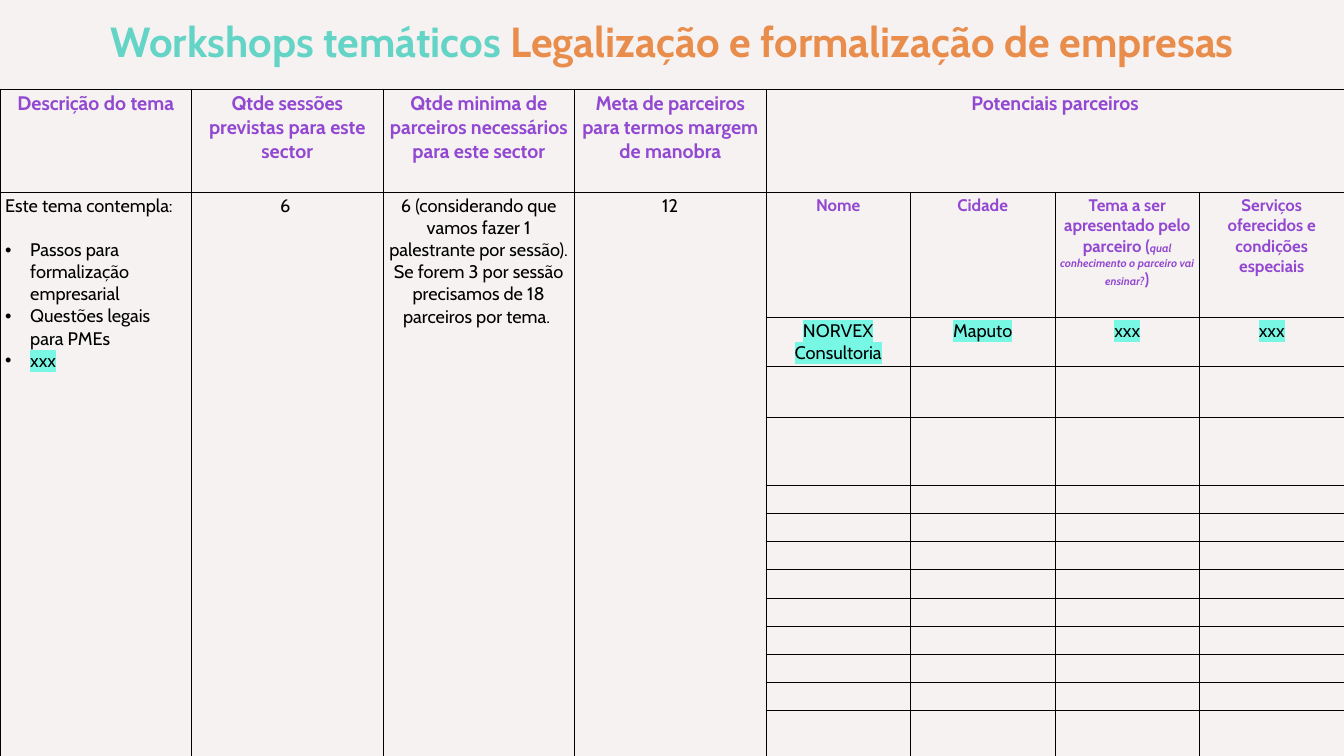
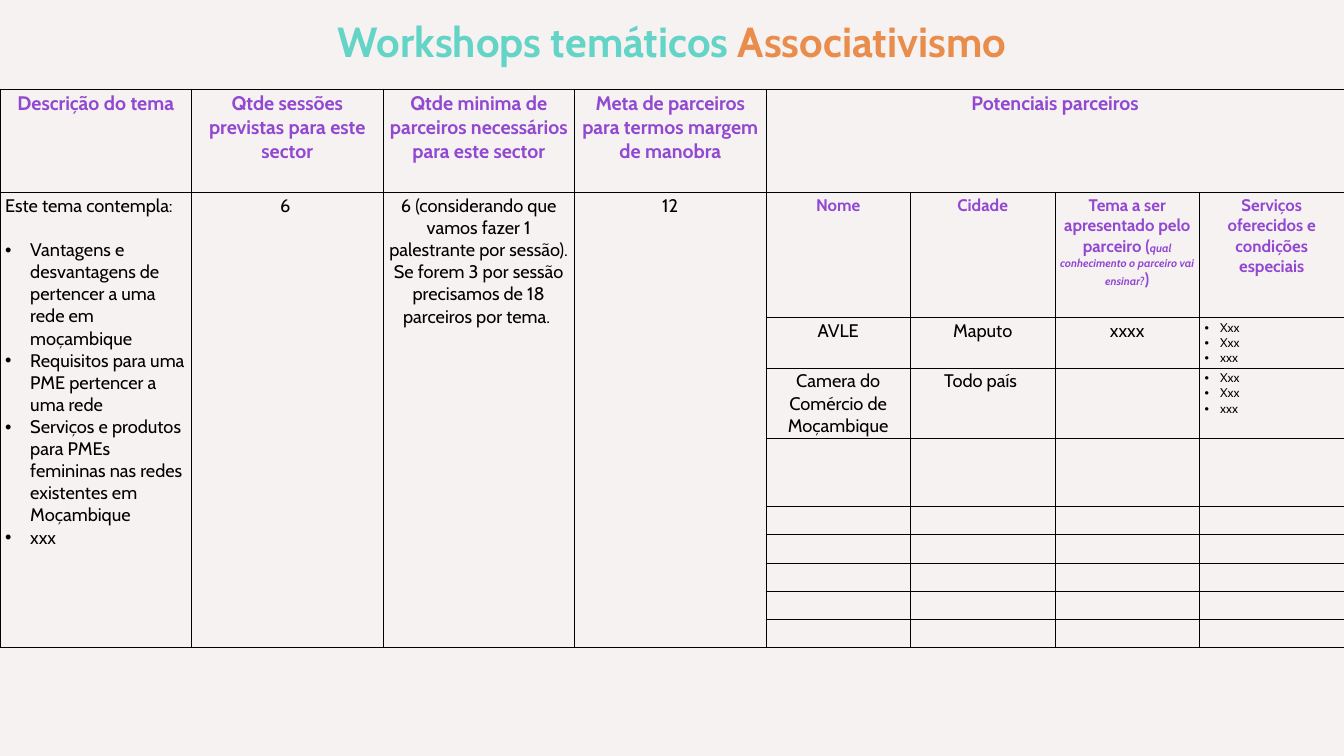
from dataclasses import dataclass

from lxml import etree
from pptx import Presentation
from pptx.dml.color import RGBColor
from pptx.enum.text import MSO_ANCHOR, PP_ALIGN
from pptx.oxml.ns import qn
from pptx.util import Cm, Pt

CENTER, LEFT = PP_ALIGN.CENTER, PP_ALIGN.LEFT
MIDDLE = MSO_ANCHOR.MIDDLE


@dataclass(frozen=True)
class Theme:
    font: str = "Cabin"
    background: str = "F7F2F2"
    series: str = "63D4C6"
    topic: str = "E98D4C"
    heading: str = "9248D1"
    body: str = "000000"
    highlight: str = "79F7E5"
    title_size: int = 60
    heading_size: int = 28
    subheading_size: int = 24
    body_size: int = 26
    hint_size: int = 16
    service_size: int = 18
    border: float = 1


@dataclass(frozen=True)
class Box:
    left: float
    top: float
    width: float
    height: float

    def lengths(self):
        return Cm(self.left), Cm(self.top), Cm(self.width), Cm(self.height)


@dataclass(frozen=True)
class Workshop:
    topic: str
    contents: list
    partners: list
    row_heights: list
    marked: tuple = ()


THEME = Theme()
WIDTH, HEIGHT = 67.73, 38.1
TITLE_BOX = Box(0, 0, WIDTH, 4.11)
TABLE_TOP = 4.5
SUMMARY_COLUMNS, PARTNER_COLUMNS = 4, 4
SUMMARY_WIDTH = 9.65
TOP_ROWS = [5.2, 6.3, 2.44, 2.57, 3.43]
SMALL_ROW = 1.42

SERIES = "Workshops temáticos "
HEADINGS = [
    "Descrição do tema",
    "Qtde sessões previstas para este sector",
    "Qtde minima de parceiros necessários para este sector",
    "Meta de parceiros para termos margem de manobra",
    "Potenciais parceiros",
]
INTRO = "Este tema contempla:"
TARGETS = [
    "6 ",
    "6 (considerando que vamos fazer 1 palestrante por sessão). "
    "Se forem 3 por sessão precisamos de 18 parceiros por tema. ",
    "12",
]
SUBHEADINGS = [
    ["Nome"],
    ["Cidade"],
    ["Tema a ser apresentado pelo parceiro (",
     "qual conhecimento o parceiro vai ensinar?", ")"],
    ["Serviços oferecidos e condições especiais"],
]
SERVICES = ["Xxx", "Xxx", "xxx"]

WORKSHOPS = [
    Workshop(
        "Legalização e formalização de empresas",
        ["Passos para formalização empresarial", "Questões legais para PMEs", "xxx"],
        [["NORVEX Consultoria", "Maputo", "xxx", "xxx"]],
        TOP_ROWS + [SMALL_ROW] * 8 + [2.39],
        ("xxx", "NORVEX Consultoria", "Maputo"),
    ),
    Workshop(
        "Associativismo",
        ["Vantagens e desvantagens de pertencer a uma rede em moçambique",
         "Requisitos para uma PME pertencer a uma rede",
         "Serviços e produtos para PMEs femininas nas redes existentes em Moçambique",
         "xxx"],
        [["AVLE", "Maputo", "xxxx", SERVICES],
         ["Camera do Comércio de Moçambique", "Todo país ", "", SERVICES]],
        TOP_ROWS + [SMALL_ROW] * 5,
    ),
]


def style(paragraph, size, color, bold=False, align=CENTER):
    paragraph.alignment = align
    font = paragraph.font
    font.name, font.size, font.bold = THEME.font, Pt(size), bold
    font.color.rgb = RGBColor.from_string(color)


def add_bullet(paragraph, indent):
    properties = paragraph._p.get_or_add_pPr()
    properties.set("marL", str(Cm(indent)))
    properties.set("indent", str(-Cm(indent)))
    etree.SubElement(properties, qn("a:buFont"), typeface="Arial")
    etree.SubElement(properties, qn("a:buChar"), char="•")


def add_text(paragraph, text, marked=()):
    run = paragraph.add_run()
    run.text = text
    if text in marked:
        highlight = etree.SubElement(run._r.get_or_add_rPr(), qn("a:highlight"))
        etree.SubElement(highlight, qn("a:srgbClr"), val=THEME.highlight)
    return run


def write_list(frame, items, indent, size, marked=(), intro=None):
    paragraph = frame.paragraphs[0]
    if intro:
        add_text(paragraph, intro)
        style(paragraph, size, THEME.body, align=LEFT)
    for position, item in enumerate(items):
        if position or intro:
            paragraph = frame.add_paragraph()
        add_bullet(paragraph, indent)
        if intro and position == 0:
            paragraph.space_before = Pt(size * 1.21)
        add_text(paragraph, item, marked)
        style(paragraph, size, THEME.body, align=LEFT)


def write_cell(cell, text, size, color, bold=False, marked=()):
    paragraph = cell.text_frame.paragraphs[0]
    if text:
        add_text(paragraph, text, marked)
    style(paragraph, size, color, bold)


def outline_cell(cell):
    cell.fill.background()
    properties = cell._tc.get_or_add_tcPr()
    for position, side in enumerate(("a:lnL", "a:lnR", "a:lnT", "a:lnB")):
        line = etree.Element(qn(side), w=str(Pt(THEME.border)))
        fill = etree.SubElement(line, qn("a:solidFill"))
        etree.SubElement(fill, qn("a:srgbClr"), val=THEME.body)
        properties.insert(position, line)


def add_title(slide, box, topic):
    frame = slide.shapes.add_textbox(*box.lengths()).text_frame
    frame.word_wrap = True
    frame.vertical_anchor = MIDDLE
    frame.margin_left = frame.margin_right = Cm(0.15)
    frame.margin_top = frame.margin_bottom = Cm(0.15)
    paragraph = frame.paragraphs[0]
    style(paragraph, THEME.title_size, THEME.series, bold=True)
    for text, color in ((SERIES, THEME.series), (topic, THEME.topic)):
        add_text(paragraph, text).font.color.rgb = RGBColor.from_string(color)


def fill_headings(table):
    for column, heading in enumerate(HEADINGS):
        write_cell(table.cell(0, column), heading,
                   THEME.heading_size, THEME.heading, bold=True)
    for column, parts in enumerate(SUBHEADINGS, SUMMARY_COLUMNS):
        paragraph = table.cell(1, column).text_frame.paragraphs[0]
        style(paragraph, THEME.subheading_size, THEME.heading, bold=True)
        for position, part in enumerate(parts):
            run = add_text(paragraph, part)
            if position == 1:
                run.font.size, run.font.italic = Pt(THEME.hint_size), True


def fill_summary(table, workshop):
    write_list(table.cell(1, 0).text_frame, workshop.contents, 1.27,
               THEME.body_size, workshop.marked, INTRO)
    for column, target in enumerate(TARGETS, 1):
        write_cell(table.cell(1, column), target, THEME.body_size, THEME.body)


def fill_partners(table, workshop):
    blank = [""] * PARTNER_COLUMNS
    blank_count = len(workshop.row_heights) - 2 - len(workshop.partners)
    for row, partner in enumerate(workshop.partners + [blank] * blank_count, 2):
        for column, entry in enumerate(partner, SUMMARY_COLUMNS):
            cell = table.cell(row, column)
            if isinstance(entry, list):
                write_list(cell.text_frame, entry, 0.79, THEME.service_size)
            else:
                write_cell(cell, entry, THEME.body_size, THEME.body,
                           marked=workshop.marked)


def add_plan(slide, box, workshop):
    heights = workshop.row_heights
    columns = SUMMARY_COLUMNS + PARTNER_COLUMNS
    table = slide.shapes.add_table(len(heights), columns, *box.lengths()).table
    table.first_row = table.horz_banding = False
    partner_width = (box.width - SUMMARY_COLUMNS * SUMMARY_WIDTH) / PARTNER_COLUMNS
    for position, column in enumerate(table.columns):
        column.width = Cm(SUMMARY_WIDTH if position < SUMMARY_COLUMNS else partner_width)
    for row, height in zip(table.rows, heights):
        row.height = Cm(height)
    for cell in table.iter_cells():
        outline_cell(cell)
    table.cell(0, SUMMARY_COLUMNS).merge(table.cell(0, columns - 1))
    for column in range(SUMMARY_COLUMNS):
        table.cell(1, column).merge(table.cell(len(heights) - 1, column))
    fill_headings(table)
    fill_summary(table, workshop)
    fill_partners(table, workshop)


def add_workshop_slide(presentation, workshop):
    slide = presentation.slides.add_slide(presentation.slide_layouts[6])
    slide.background.fill.solid()
    slide.background.fill.fore_color.rgb = RGBColor.from_string(THEME.background)
    add_title(slide, TITLE_BOX, workshop.topic)
    plan_box = Box(0, TABLE_TOP, WIDTH, sum(workshop.row_heights))
    add_plan(slide, plan_box, workshop)


def main():
    presentation = Presentation()
    presentation.slide_width, presentation.slide_height = Cm(WIDTH), Cm(HEIGHT)
    for workshop in WORKSHOPS:
        add_workshop_slide(presentation, workshop)
    presentation.save("out.pptx")


if __name__ == "__main__":
    main()
